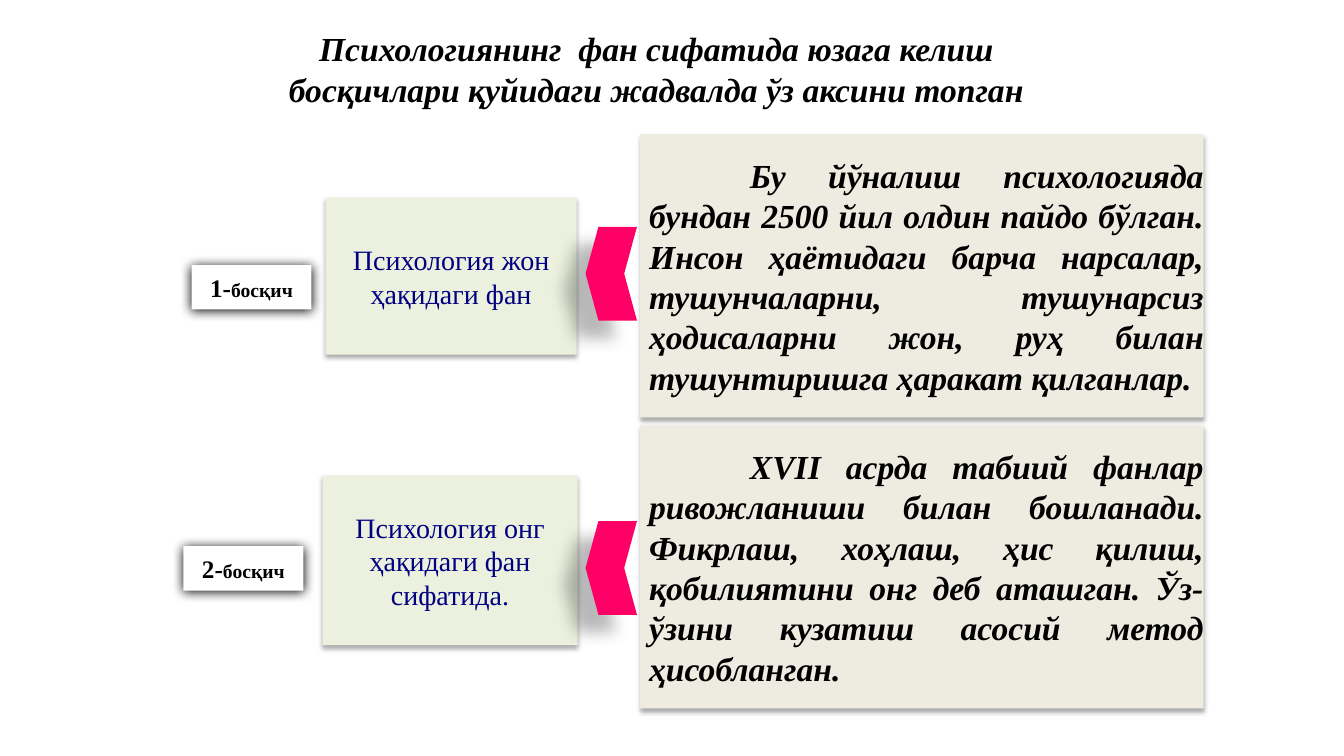
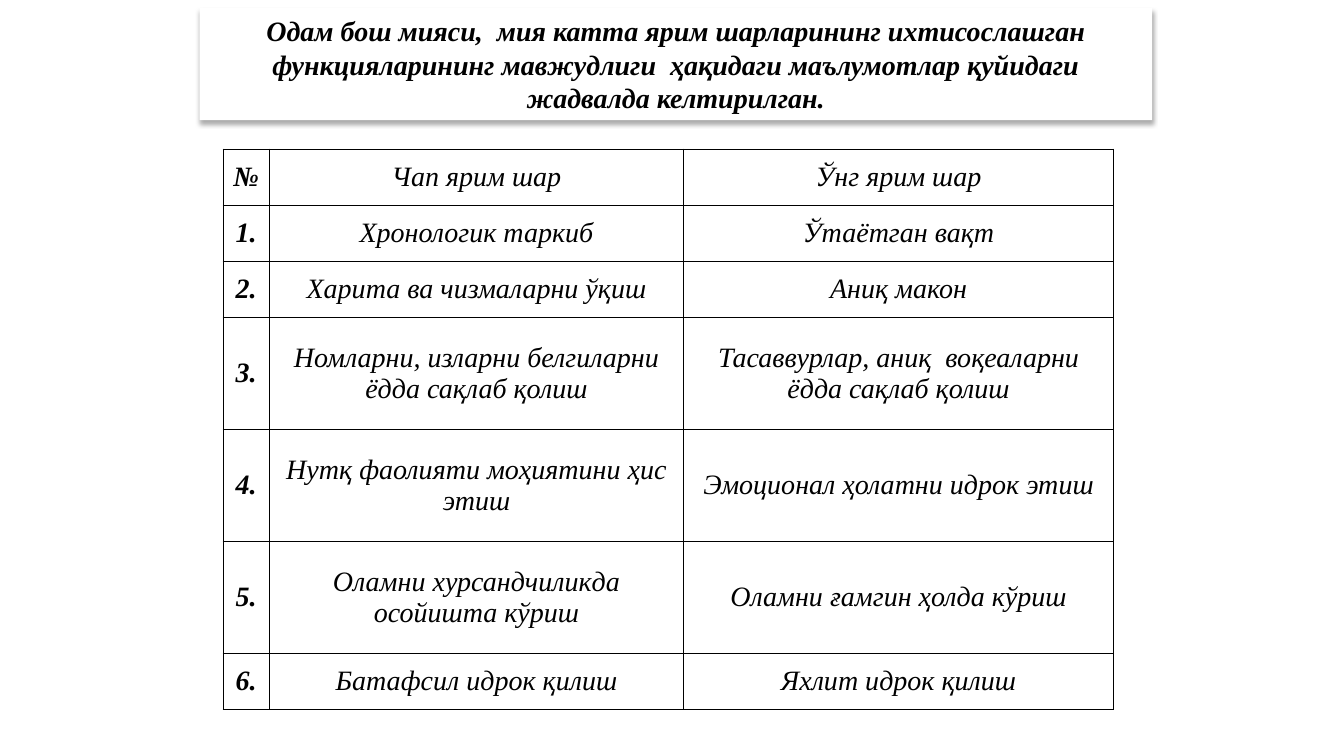
from lxml import etree
from pptx import Presentation
from pptx.dml.color import RGBColor
from pptx.enum.shapes import MSO_SHAPE as Shape
from pptx.enum.text import MSO_ANCHOR as Anchor, MSO_AUTO_SIZE as AutoSize, PP_ALIGN as Align
from pptx.oxml.ns import qn
from pptx.util import Pt

FONT = "Times New Roman"
BLACK, WHITE, NAVY = "000000", "FFFFFF", "000080"
GREEN, BEIGE, PINK = "EBF1DE", "EEECE1", "FF0066"
SOFT = dict(alpha=32, blur=3.5, dist=2.2, angle=90)
GLOW = dict(alpha=100, blur=8.5, dist=1, angle=90)
CAST = dict(alpha=28, blur=11.8, dist=19.7, angle=141)

STAGES_TITLE = "Психологиянинг  фан сифатида юзага келиш босқичлари қуйидаги жадвалда ўз аксини топган"
STAGES = [
    dict(
        number="1-",
        subject="Психология жон ҳақидаги фан",
        story="Бу йўналиш психологияда бундан 2500 йил олдин пайдо бўлган. "
              "Инсон ҳаётидаги барча нарсалар, тушунчаларни, тушунарсиз ҳодисаларни "
              "жон, руҳ билан тушунтиришга ҳаракат қилганлар.",
        badge_at=(136.8, 189.4), subject_at=(232.6, 141.1, 179.3, 112.3),
        chevron_top=162, story_top=95.8,
    ),
    dict(
        number="2-",
        subject="Психология онг ҳақидаги фан сифатида.",
        story="XVII асрда табиий фанлар ривожланиши билан бошланади. "
              "Фикрлаш, хоҳлаш, ҳис қилиш, қобилиятини онг деб аташган. "
              "Ўз-ўзини кузатиш асосий метод ҳисобланган.",
        badge_at=(131, 390.2), subject_at=(230.4, 339.8, 182.2, 121),
        chevron_top=372.2, story_top=303.8,
    ),
]

HEMISPHERES_TITLE = ("Одам бош мияси,  мия катта ярим шарларининг ихтисослашган "
                     "функцияларининг мавжудлиги  ҳақидаги маълумотлар қуйидаги "
                     "жадвалда келтирилган.")
HEMISPHERES = [
    ("№", "Чап ярим шар", "Ўнг ярим шар"),
    ("1.", "Хронологик таркиб", "Ўтаётган вақт"),
    ("2.", "Харита ва чизмаларни ўқиш", "Аниқ макон"),
    ("3.", "Номларни, изларни белгиларни ёдда сақлаб қолиш",
     "Тасаввурлар, аниқ  воқеаларни ёдда сақлаб қолиш"),
    ("4.", "Нутқ фаолияти моҳиятини ҳис этиш", "Эмоционал ҳолатни идрок этиш"),
    ("5.", "Оламни хурсандчиликда осойишта кўриш", "Оламни ғамгин ҳолда кўриш"),
    ("6.", "Батафсил идрок қилиш", "Яхлит идрок қилиш"),
]
COLUMN_WIDTHS = (33, 296, 307)
ROW_UNITS = (1, 1, 1, 2, 2, 2, 1)
ROW_UNIT = 40


def rgb(value):
    return RGBColor.from_string(value)


def write(frame, *parts, size=20, color=BLACK, bold=False, italic=False,
          align=Align.CENTER, anchor=Anchor.MIDDLE, after=0):
    frame.word_wrap = True
    frame.vertical_anchor = anchor
    paragraph = frame.paragraphs[0]
    paragraph.alignment = align
    paragraph.space_after = Pt(after)
    for part in parts:
        text, part_size = part if isinstance(part, tuple) else (part, size)
        run = paragraph.add_run()
        run.text = text
        font = run.font
        font.name, font.size = FONT, Pt(part_size)
        font.bold, font.italic = bold, italic
        font.color.rgb = rgb(color)
    return paragraph


def set_margins(frame, left, top, right, bottom):
    frame.margin_left, frame.margin_top = Pt(left), Pt(top)
    frame.margin_right, frame.margin_bottom = Pt(right), Pt(bottom)


def paint(shape, fill, alpha, blur, dist, angle):
    shape.fill.solid()
    shape.fill.fore_color.rgb = rgb(fill)
    shape.line.fill.background()
    shape.shadow.inherit = False
    effects = shape._element.spPr.find(qn("a:effectLst"))
    outer = etree.SubElement(effects, qn("a:outerShdw"), blurRad=str(Pt(blur)),
                             dist=str(Pt(dist)), dir=str(angle * 60000),
                             algn="ctr", rotWithShape="0")
    tint = etree.SubElement(outer, qn("a:srgbClr"), val=BLACK)
    etree.SubElement(tint, qn("a:alpha"), val=str(alpha * 1000))


def add_panel(slide, preset, box, fill, shadow):
    panel = slide.shapes.add_shape(preset, *map(Pt, box))
    paint(panel, fill, **shadow)
    set_margins(panel.text_frame, 0, 0, 0, 0)
    return panel


def add_titled_slide(deck, text, box, size, anchor):
    slide = deck.slides.add_slide(deck.slide_layouts[5])
    title = slide.shapes.title
    title.left, title.top, title.width, title.height = map(Pt, box)
    write(title.text_frame, text, size=size, bold=True, italic=True, anchor=anchor)
    title.text_frame.auto_size = AutoSize.NONE
    return slide


def add_stage(slide, stage):
    badge = add_panel(slide, Shape.RECTANGLE, (*stage["badge_at"], 85.7, 31.7), WHITE, GLOW)
    write(badge.text_frame, (stage["number"], 18), ("босқич", 14), bold=True, after=10)

    subject = add_panel(slide, Shape.RECTANGLE, stage["subject_at"], GREEN, SOFT)
    write(subject.text_frame, stage["subject"], color=NAVY, after=10)

    chevron = add_panel(slide, Shape.CHEVRON, (418.3, stage["chevron_top"], 36.7, 67), PINK, CAST)
    chevron.adjustments[0] = 0.25
    chevron._element.spPr.find(qn("a:xfrm")).set("flipH", "1")

    story = add_panel(slide, Shape.RECTANGLE, (457.2, stage["story_top"], 402.5, 202.3), BEIGE, SOFT)
    paragraph = write(story.text_frame, stage["story"], size=24, bold=True, italic=True,
                      align=Align.JUSTIFY, after=10)
    properties = paragraph._p.get_or_add_pPr()
    properties.set("marL", str(Pt(6.5)))
    properties.set("indent", str(Pt(72)))


def outline(cell):
    properties = cell._tc.get_or_add_tcPr()
    for position, side in enumerate(("a:lnL", "a:lnR", "a:lnT", "a:lnB")):
        edge = etree.Element(qn(side), w=str(Pt(1)))
        fill = etree.SubElement(edge, qn("a:solidFill"))
        etree.SubElement(fill, qn("a:srgbClr"), val=BLACK)
        properties.insert(position, edge)


def add_hemispheres(slide):
    frame = slide.shapes.add_table(
        len(HEMISPHERES), len(COLUMN_WIDTHS), Pt(159.4), Pt(106.6),
        Pt(sum(COLUMN_WIDTHS)), Pt(sum(ROW_UNITS) * ROW_UNIT))
    table = frame.table
    table.first_row = table.horz_banding = False
    for column, width in zip(table.columns, COLUMN_WIDTHS):
        column.width = Pt(width)
    for row, units, texts in zip(table.rows, ROW_UNITS, HEMISPHERES):
        row.height = Pt(units * ROW_UNIT)
        for index, (cell, text) in enumerate(zip(row.cells, texts)):
            cell.fill.solid()
            cell.fill.fore_color.rgb = rgb(WHITE)
            outline(cell)
            set_margins(cell, 5, 0, 5, 0)
            write(cell.text_frame, text, bold=index == 0, italic=True)
            cell.vertical_anchor = Anchor.MIDDLE


def main():
    deck = Presentation()
    deck.slide_width, deck.slide_height = Pt(960), Pt(540)

    stages = add_titled_slide(deck, STAGES_TITLE, (193, 16.6, 551.5, 65.5), 24, Anchor.TOP)
    for stage in STAGES:
        add_stage(stages, stage)

    hemispheres = add_titled_slide(deck, HEMISPHERES_TITLE, (142.6, 5.8, 680.4, 80), 20, Anchor.MIDDLE)
    paint(hemispheres.shapes.title, WHITE, **SOFT)
    add_hemispheres(hemispheres)

    deck.save("out.pptx")


if __name__ == "__main__":
    main()
